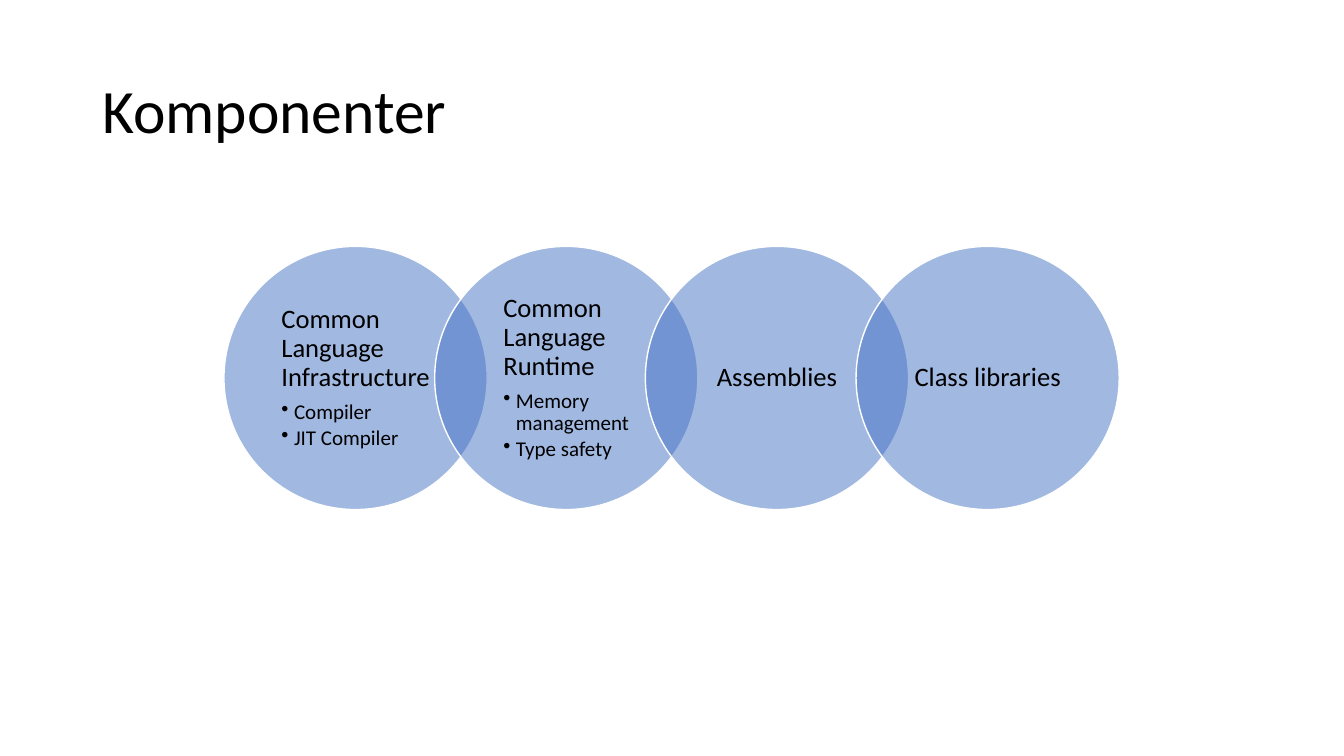
"""Build the Komponenter slide: a row of four overlapping circles with text."""
import pptx
import pptx.dml.color
import pptx.enum.shapes
import pptx.enum.text
import pptx.oxml.ns
import pptx.util
from lxml import etree

Pt = pptx.util.Pt
ALIGN = pptx.enum.text.PP_ALIGN
BLACK = pptx.dml.color.RGBColor(0x00, 0x00, 0x00)
WHITE = pptx.dml.color.RGBColor(0xFF, 0xFF, 0xFF)
BLUE = pptx.dml.color.RGBColor(0x44, 0x72, 0xC4)

DIAMETER = 188
FIRST_LEFT = 160
STEP = 150.5
CIRCLE_TOP = 176
LABEL_INSET = 27.5
LABEL_SIZE = DIAMETER - 2 * LABEL_INSET
BULLET_INDENT = 9

COMPONENTS = [
    ("Common Language Infrastructure", ["Compiler", "JIT Compiler"]),
    ("Common Language Runtime", ["Memory management", "Type safety"]),
    ("Assemblies", []),
    ("Class libraries", []),
]
LABEL_FRAME = {
    "word_wrap": True,
    "vertical_anchor": pptx.enum.text.MSO_ANCHOR.MIDDLE,
    "margin_left": Pt(10),
    "margin_right": Pt(10),
    "margin_top": Pt(2.4),
    "margin_bottom": Pt(2.4),
}
TITLE_FRAME = {
    "word_wrap": True,
    "vertical_anchor": pptx.enum.text.MSO_ANCHOR.MIDDLE,
}


def add_text_frame(left, top, width, height, frame_format):
    box = slide.shapes.add_textbox(Pt(left), Pt(top), Pt(width), Pt(height))
    for name, value in frame_format.items():
        setattr(box.text_frame, name, value)
    return box.text_frame


def write_line(paragraph, wording, size, align=ALIGN.LEFT, space_after=0):
    line_format = {
        "alignment": align,
        "line_spacing": 0.9,
        "space_after": Pt(space_after),
    }
    for name, value in line_format.items():
        setattr(paragraph, name, value)
    run = paragraph.add_run()
    run.text = wording
    for name, value in {"name": "Calibri", "size": Pt(size)}.items():
        setattr(run.font, name, value)
    run.font.color.rgb = BLACK


presentation = pptx.Presentation()
presentation.slide_width = Pt(960)
presentation.slide_height = Pt(540)
slide = presentation.slides.add_slide(presentation.slide_layouts[6])

title = add_text_frame(66, 28.75, 828, 104.4, TITLE_FRAME)
write_line(title.paragraphs[0], "Komponenter", 44)

for index, (component, details) in enumerate(COMPONENTS):
    left = FIRST_LEFT + index * STEP
    circle = slide.shapes.add_shape(
        pptx.enum.shapes.MSO_SHAPE.OVAL,
        Pt(left), Pt(CIRCLE_TOP), Pt(DIAMETER), Pt(DIAMETER),
    )
    circle.shadow.inherit = False
    circle.fill.solid()
    circle.fill.fore_color.rgb = BLUE
    circle.line.color.rgb = WHITE
    circle.line.width = Pt(1)
    blue = circle.fill._xPr.find(".//" + pptx.oxml.ns.qn("a:srgbClr"))
    etree.SubElement(blue, pptx.oxml.ns.qn("a:alpha"), val="50000")

    label = add_text_frame(
        left + LABEL_INSET, CIRCLE_TOP + LABEL_INSET, LABEL_SIZE, LABEL_SIZE, LABEL_FRAME
    )
    label._txBody.bodyPr.set("anchorCtr", "1")
    align = ALIGN.LEFT if details else ALIGN.CENTER
    write_line(label.paragraphs[0], component, 19, align, 6.65)
    for detail in details:
        bullet = label.add_paragraph()
        bullet.level = 1
        properties = bullet._p.get_or_add_pPr()
        properties.set("marL", str(Pt(BULLET_INDENT)))
        properties.set("indent", str(-Pt(BULLET_INDENT)))
        etree.SubElement(properties, pptx.oxml.ns.qn("a:buChar"), char="•")
        write_line(bullet, detail, 15, space_after=2.25)

presentation.save("out.pptx")
